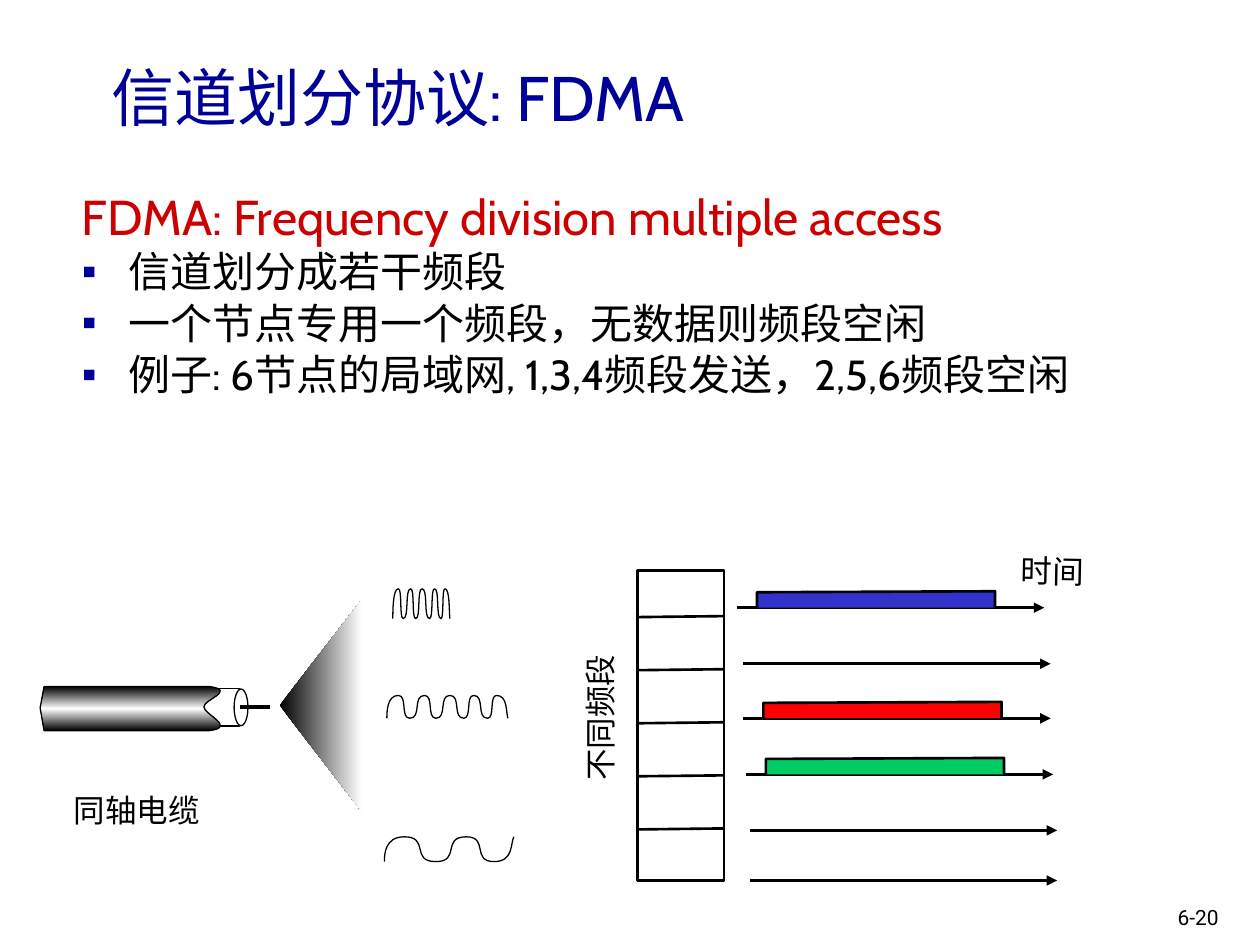
from copy import deepcopy

from pptx import Presentation
from pptx.dml.color import RGBColor
from pptx.enum import shapes, text
from pptx.oxml import ns, xmlchemy
from pptx.util import Cm, Pt

HUES = {"navy": "000099", "red": "CC0000", "black": "000000", "white": "FFFFFF",
        "blue bar": "3333CC", "red bar": "FF0000", "green bar": "00CC66"}
CJK = "Noto Sans CJK SC"


def hue(name):
    return RGBColor.from_string(HUES[name])


def add_el(parent, tag, **attrs):
    el = xmlchemy.OxmlElement(tag)
    for key, val in attrs.items():
        el.set(key, val)
    parent.append(el)
    return el


def style(font, size, face, color):
    font.size, font.name = Pt(size), face
    font.color.rgb = hue(color)
    add_el(font._rPr, "a:ea", typeface=CJK)


def add_box(slide, x, y, w, h, wrap=True):
    box = slide.shapes.add_textbox(Cm(x), Cm(y), Cm(w), Cm(h))
    box.text_frame.word_wrap = wrap
    return box


def add_label(slide, words, x, y, w, turn=0, size=18, face="Arial"):
    box = add_box(slide, x, y, w, 1.02, False)
    box.rotation = turn
    para = box.text_frame.paragraphs[0]
    para.text = words
    style(para.font, size, face, "black")


def paint(shape, fill, width):
    shape.shadow.inherit = False
    if fill is None:
        shape.fill.background()
    elif isinstance(fill, str):
        shape.fill.solid()
        shape.fill.fore_color.rgb = hue(fill)
    else:
        blend(shape, *fill)
    if width:
        shape.line.width = Pt(width)
        shape.line.color.rgb = hue("black")
    else:
        shape.line.fill.background()


def blend(shape, angle, names):
    """Fill with evenly spaced gradient stops."""
    shape.fill.gradient()
    shape.fill.gradient_angle = angle
    stops = shape._element.spPr.find(ns.qn("a:gradFill")).find(ns.qn("a:gsLst"))
    while len(stops) < len(names):
        stops.append(deepcopy(stops[-1]))
    for i, (stop, name) in enumerate(zip(shape.fill.gradient_stops, names)):
        stop.position = i / (len(names) - 1)
        stop.color.rgb = hue(name)


def add_shape(slide, kind, x, y, w, h, width):
    shape = slide.shapes.add_shape(kind, Cm(x), Cm(y), Cm(w), Cm(h))
    paint(shape, "white", width)


def add_line(slide, x1, y1, x2, y2, width=1.5, arrow=False):
    line = slide.shapes.add_connector(
        shapes.MSO_CONNECTOR.STRAIGHT, Cm(x1), Cm(y1), Cm(x2), Cm(y2))
    line.line.width = Pt(width)
    line.line.color.rgb = hue("black")
    if arrow:
        add_el(line.line._get_or_add_ln(), "a:tailEnd", type="triangle")
    add_el(line._element.spPr, "a:effectLst")


def add_path(slide, dots, fill=None, width=0.75, close=False, bends=None):
    """Outline through dots; bends gives the handles of pieces that curve."""
    (x, y), *rest = [(Cm(a), Cm(b)) for a, b in dots]
    pen = slide.shapes.build_freeform(x, y)
    pen.add_line_segments(rest, close=close)
    shape = pen.convert_to_shape()
    pieces = list(shape._element.iter(ns.qn("a:lnTo")))
    for i, handles in (bends or {}).items():
        pieces[i].tag = ns.qn("a:cubicBezTo")
        for n, (a, b) in enumerate(handles):
            pt = xmlchemy.OxmlElement("a:pt")
            pt.set("x", str(Cm(a) - shape.left))
            pt.set("y", str(Cm(b) - shape.top))
            pieces[i].insert(n, pt)
    paint(shape, fill, width)


def add_wave(slide, xs, top, low):
    """Wave whose turning points alternate between low and top."""
    dots = [(x, top if i % 2 else low) for i, x in enumerate(xs)]
    last = len(dots) - 2
    bends = {}
    for i, ((x1, y1), (x2, y2)) in enumerate(zip(dots, dots[1:])):
        lean, rise = 0.18 * (x2 - x1), 0.25 * (y2 - y1)
        one, two = (x2 - lean, y1), (x1 + lean, y2)
        if i == 0:
            one, two = (x1, y1 + rise), (x1, y2)
        elif i == last:
            one, two = (x2, y1), (x2 - lean, y2 - rise)
        bends[i] = (one, two)
    add_path(slide, dots, bends=bends)


def add_title(slide):
    frame = add_box(slide, 2, 0.36, 23.98, 3.18).text_frame
    frame.vertical_anchor = text.MSO_ANCHOR.MIDDLE
    for words, face in (("信道划分协议", CJK), (": FDMA", "Cabin")):
        run = frame.paragraphs[0].add_run()
        run.text = words
        style(run.font, 36, face, "navy")


def add_body(slide):
    frame = add_box(slide, 1.4, 3.81, 22.83, 15.06).text_frame
    head = frame.paragraphs[0]
    head.text = "FDMA: Frequency division multiple access"
    head.line_spacing = 0.85
    style(head.font, 28, "Cabin", "red")
    for words in ("信道划分成若干频段",
                  "一个节点专用一个频段，无数据则频段空闲",
                  "例子: 6节点的局域网, 1,3,4频段发送，2,5,6频段空闲"):
        para = frame.add_paragraph()
        para.text = words
        para.line_spacing = 0.85
        para.space_before = Pt(4.8)
        props = para._p.get_or_add_pPr()
        props.set("marL", str(Cm(0.95)))
        props.set("indent", str(Cm(-0.95)))
        add_el(add_el(props, "a:buClr"), "a:srgbClr", val=HUES["navy"])
        add_el(props, "a:buFont", typeface="Arial")
        add_el(props, "a:buChar", char="▪")
        style(para.font, 24, "Cabin", "black")


def add_bands(slide):
    # Column of six frequency bands
    add_shape(slide, shapes.MSO_SHAPE.RECTANGLE, 12.85, 11.5, 1.75, 6.25, 1.5)
    for i in range(5):
        y = 12.44 + 1.07 * i
        add_line(slide, 12.85, y, 14.6, y - 0.02)

    # Time axis of each band, with a bar where it sends
    for x, y, bar in ((14.85, 12.25, "blue bar"), (14.98, 13.38, None),
                      (14.98, 14.48, "red bar"), (15.03, 15.61, "green bar"),
                      (15.11, 16.74, None), (15.11, 17.75, None)):
        add_line(slide, x, y, x + 6.2, y, arrow=True)
        if bar:
            left, right = x + 0.41, x + 5.21
            add_path(slide, [(left, y), (left, y - 0.31), (right, y - 0.33), (right, y)],
                     bar, 1.5)
    add_label(slide, "不同频段", 10.57, 13.94, 3.07, 270)
    add_label(slide, "时间", 20.33, 11, 1.8, 1.1)


def add_cable(slide):
    # Widening beam
    add_path(slide, [(7.29, 12.09), (5.64, 14.22), (7.29, 16.36)],
             (0, ("black", "white")), 0, True)

    # Inner layer, jacket, end face and core
    add_shape(slide, shapes.MSO_SHAPE.RECTANGLE, 4.09, 13.88, 0.74, 0.76, 0.75)
    jacket = [(0.89, 13.84), (0.81, 14.27), (0.89, 14.73),
              (4.22, 14.73), (4.11, 14.25), (4.22, 13.84)]
    add_path(slide, jacket, (90, ("black", "white", "black")), 0.75, True,
             {3: ((4.78, 14.66), (4.11, 14.4)), 4: ((4.11, 14.1), (4.78, 13.92))})
    add_shape(slide, shapes.MSO_SHAPE.OVAL, 4.72, 13.89, 0.28, 0.74, 0.75)
    add_line(slide, 4.83, 14.25, 5.44, 14.25, 2.25)
    add_label(slide, "同轴电缆", 1.24, 15.82, 3.07)

    # Signals of high, medium and low frequency
    add_wave(slide, (7.92, 8.03, 8.13, 8.28, 8.38, 8.51, 8.66, 8.76, 8.89, 8.97, 9.07),
             11.87, 12.47)
    add_wave(slide, (7.8, 8.03, 8.26, 8.56, 8.79, 9.07, 9.35, 9.55, 9.83, 10.01, 10.24),
             14.02, 14.48)
    add_wave(slide, (7.75, 8.15, 8.79, 9.4, 9.96, 10.36), 16.87, 17.37)


def main():
    deck = Presentation()
    deck.slide_width, deck.slide_height = Cm(25.4), Cm(19.05)
    slide = deck.slides.add_slide(deck.slide_layouts[6])
    add_title(slide)
    add_body(slide)
    add_bands(slide)
    add_cable(slide)
    add_label(slide, "6-20", 23.49, 18.11, 1.52, size=12, face="Roboto")
    deck.save("out.pptx")


if __name__ == "__main__":
    main()
